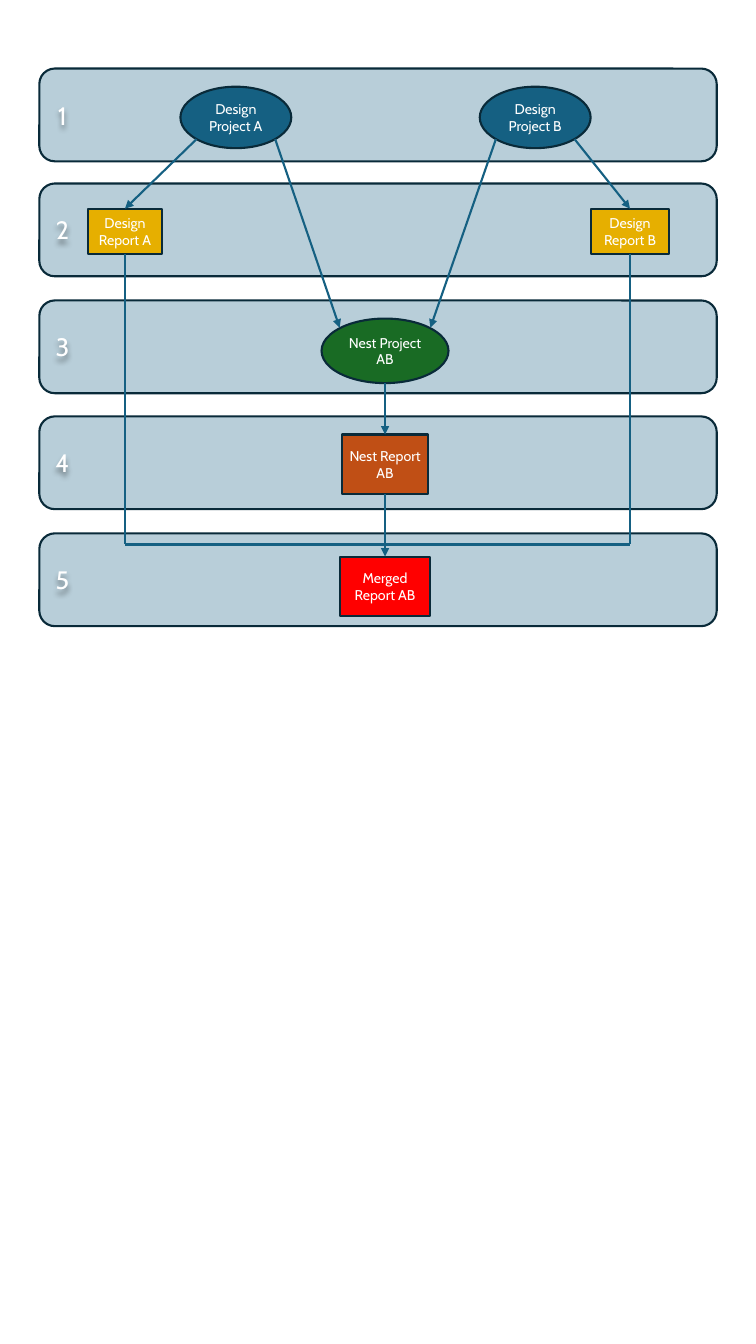
import pptx
import pptx.dml.color
import pptx.enum.shapes
import pptx.enum.text
import pptx.oxml
import pptx.oxml.ns
import pptx.util
from lxml import etree

RGB = pptx.dml.color.RGBColor
SHAPE = pptx.enum.shapes.MSO_SHAPE
BLUE = RGB(0x15, 0x60, 0x82)
NAVY = RGB(0x09, 0x2A, 0x39)
GREEN = RGB(0x19, 0x6B, 0x24)
GOLD = RGB(0xE6, 0xAF, 0x00)
RUST = RGB(0xC0, 0x4F, 0x15)
RED = RGB(0xFF, 0x00, 0x00)
WHITE = RGB(0xFF, 0xFF, 0xFF)

PX = 9144  # EMU per px, 100 px to the inch
TOP, BOTTOM = 0, 2  # connection sites of a rectangle
BAND_LEFT, BAND_WIDTH, BAND_HEIGHT = 39, 672, 92
BAND_TOPS = [68, 182, 298, 413, 529]
NUMBER_SIZE = 24
BUS_Y = 540


def write(sp, text, size=10.1, color=WHITE, font="Cabin", inset=2, wrap=True):
    tf = sp.text_frame
    tf.word_wrap = wrap
    tf.vertical_anchor = pptx.enum.text.MSO_ANCHOR.MIDDLE
    tf.margin_left = tf.margin_right = inset * PX
    tf.margin_top = tf.margin_bottom = 0
    p = tf.paragraphs[0]
    p.alignment = pptx.enum.text.PP_ALIGN.CENTER
    r = p.add_run()
    r.text = text
    r.font.size = pptx.util.Pt(size)
    r.font.name = font
    r.font.color.rgb = color


def middle(sp, site):
    """Middle of the top or bottom side, in px."""
    y = sp.top if site == TOP else sp.top + sp.height
    return round((sp.left + sp.width / 2) / PX), round(y / PX)


def diagonal(sp, dx, dy):
    """Point on an ellipse at 45 degrees; dx and dy are -1 or 1."""
    half = 0.5 ** 0.5
    return (round((sp.left + sp.width / 2 * (1 + dx * half)) / PX),
            round((sp.top + sp.height / 2 * (1 + dy * half)) / PX))


class Diagram:
    line_width = pptx.util.Pt(1.5)

    def __init__(self, slide):
        self.slide = slide

    def shape(self, kind, x, y, w, h, fill=None):
        sp = self.slide.shapes.add_shape(kind, x * PX, y * PX, w * PX, h * PX)
        sp.shadow.inherit = False
        if fill is None:
            sp.fill.background()
            sp.line.fill.background()
        else:
            sp.fill.solid()
            sp.fill.fore_color.rgb = fill
            sp.line.color.rgb = NAVY
            sp.line.width = self.line_width
        return sp

    def band(self, number, y):
        sp = self.shape(SHAPE.ROUNDED_RECTANGLE, BAND_LEFT, y,
                        BAND_WIDTH, BAND_HEIGHT, BLUE)
        color = sp.fill._xPr.find(".//" + pptx.oxml.ns.qn("a:srgbClr"))
        etree.SubElement(color, pptx.oxml.ns.qn("a:alpha"), val="30000")
        self.number(number, y + (BAND_HEIGHT - NUMBER_SIZE) // 2)

    def number(self, number, y):
        sp = self.shape(SHAPE.OVAL, 50, y, NUMBER_SIZE, NUMBER_SIZE)
        write(sp, str(number), size=18, inset=0, wrap=False)
        effects = sp._element.spPr.find(pptx.oxml.ns.qn("a:effectLst"))
        effects.append(pptx.oxml.parse_xml(
            f'<a:outerShdw {pptx.oxml.ns.nsdecls("a")} blurRad="50800" '
            'dist="38100" dir="5400000" algn="t" rotWithShape="0">'
            '<a:prstClr val="black"><a:alpha val="40000"/></a:prstClr>'
            '</a:outerShdw>'))

    def project(self, text, x, y, w, h, fill):
        sp = self.shape(SHAPE.FLOWCHART_CONNECTOR, x, y, w, h, fill)
        write(sp, text, inset=0)
        return sp

    def report(self, text, x, y, w, h, fill):
        sp = self.shape(SHAPE.FLOWCHART_PROCESS, x, y, w, h, fill)
        write(sp, text)
        return sp

    def line(self, start, end, source=None, target=None, arrow=True):
        """Join source's bottom and target's top where they are given."""
        ends = [v * PX for v in (*start, *end)]
        c = self.slide.shapes.add_connector(
            pptx.enum.shapes.MSO_CONNECTOR.STRAIGHT, *ends)
        if source is not None:
            c.begin_connect(source, BOTTOM)
        if target is not None:
            c.end_connect(target, TOP)
        c.line.color.rgb = BLUE
        c.line.width = self.line_width
        if arrow:
            etree.SubElement(c.line._get_or_add_ln(),
                             pptx.oxml.ns.qn("a:tailEnd"), type="triangle")
        etree.SubElement(c._element.spPr, pptx.oxml.ns.qn("a:effectLst"))


def main():
    prs = pptx.Presentation()
    prs.slide_width = pptx.util.Inches(7.5)
    prs.slide_height = pptx.util.Inches(13.33)
    s = Diagram(prs.slides.add_slide(prs.slide_layouts[6]))

    # Numbered bands
    for number, y in enumerate(BAND_TOPS, 1):
        s.band(number, y)

    # Projects and reports
    project_a = s.project("Design Project A", 179, 86, 110, 61, BLUE)
    project_b = s.project("Design Project B", 476, 86, 110, 61, BLUE)
    nest = s.project("Nest Project AB", 319, 316, 126, 64, GREEN)
    report_a = s.report("Design Report A", 87, 207, 74, 45, GOLD)
    report_b = s.report("Design Report B", 586, 207, 78, 45, GOLD)
    nest_report = s.report("Nest Report AB", 339, 431, 86, 59, RUST)
    merged = s.report("Merged Report AB", 337, 552, 90, 59, RED)

    # Each design project feeds its own report and the nest
    for project, report, inward in ((project_a, report_a, 1),
                                    (project_b, report_b, -1)):
        s.line(diagonal(project, inward, 1), diagonal(nest, -inward, -1))
        s.line(diagonal(project, -inward, 1), middle(report, TOP),
               target=report)

    # Nest to merged report
    s.line(middle(nest, BOTTOM), middle(nest_report, TOP), target=nest_report)
    s.line(middle(nest_report, BOTTOM), middle(merged, TOP),
           source=nest_report, target=merged)

    # Design reports run down to a shared line
    corners = []
    for report in (report_a, report_b):
        start = middle(report, BOTTOM)
        corners.append((start[0], BUS_Y))
        s.line(start, corners[-1], source=report, arrow=False)
    s.line(*corners, arrow=False)

    prs.save("out.pptx")


if __name__ == "__main__":
    main()
